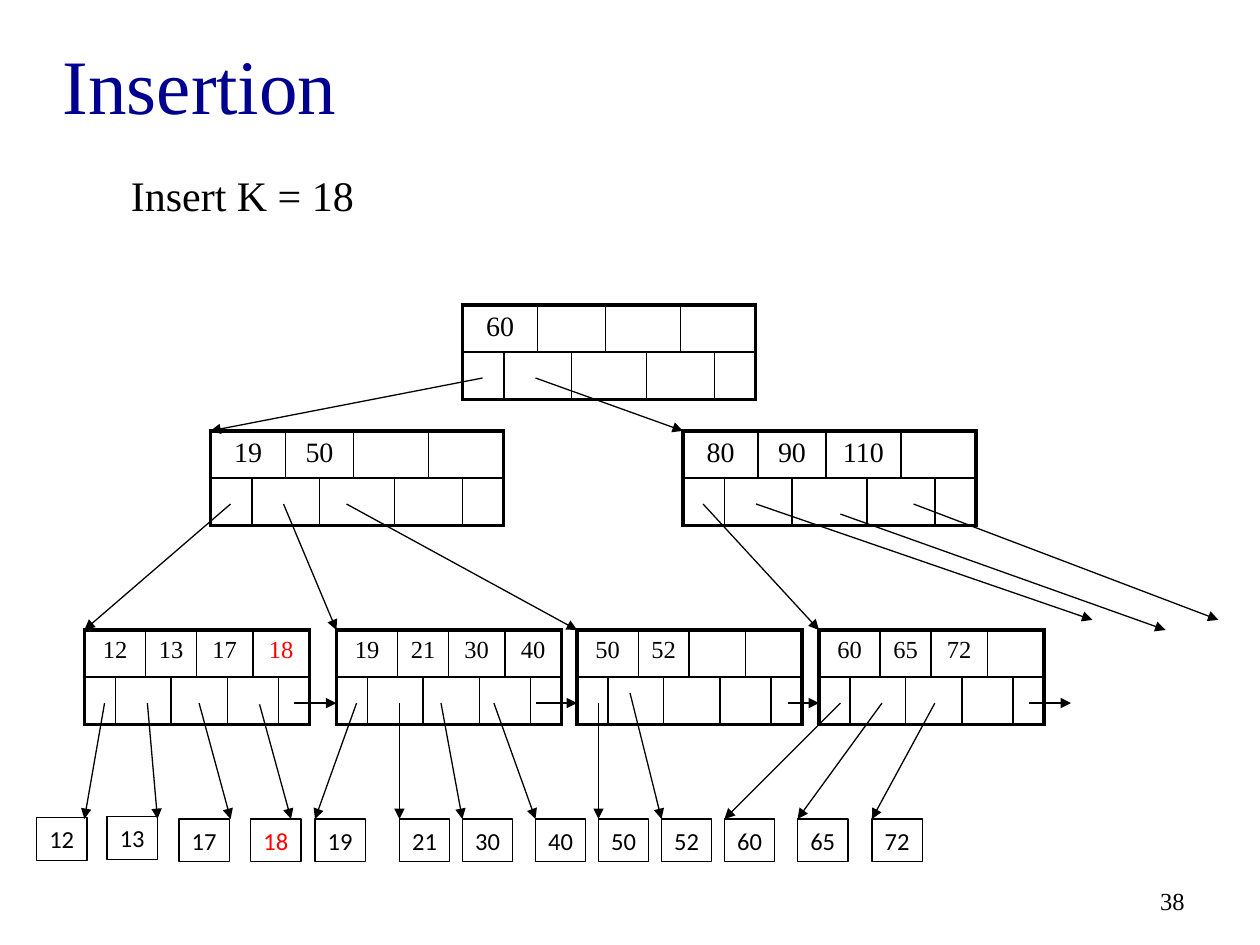
from lxml.etree import SubElement
from pptx import Presentation
from pptx.dml.color import RGBColor
from pptx.enum.shapes import MSO_CONNECTOR, MSO_SHAPE
from pptx.enum.text import MSO_ANCHOR, MSO_AUTO_SIZE, PP_ALIGN
from pptx.oxml import parse_xml
from pptx.oxml.ns import nsdecls, qn
from pptx.util import Inches, Pt

BLACK = RGBColor(0, 0, 0)
NAVY = RGBColor(0, 0, 0x90)
RED = RGBColor(0xFF, 0, 0)
SERIF = "Times New Roman"
SANS = "Calibri"
NEW_KEY = "18"
THIN, THICK = 1, 2.25

SHARES = [0.33, 0.27, 0.27, 0.27, 0.33, 0.27, 0.27, 0.33]
KEY_SPANS = [(0, 1), (2, 3), (4, 5), (6, 7)]
LINK_SPANS = [(0, 0), (1, 2), (3, 4), (5, 6), (7, 7)]
ROW = 0.375

# left, top, width, text size, keys
NODES = [
    (3.67, 2.42, 2.33, 16, ["60"]),
    (1.67, 3.42, 2.33, 16, ["19", "50"]),
    (5.42, 3.42, 2.33, 16, ["80", "90", "110"]),
    (0.67, 5, 1.75, 14, ["12", "13", "17", "18"]),
    (2.67, 5, 1.75, 14, ["19", "21", "30", "40"]),
    (4.58, 5, 1.75, 14, ["50", "52"]),
    (6.5, 5, 1.75, 14, ["60", "65", "72"]),
]

TREE_LINKS = [
    (3.83, 3, 1.67, 3.42), (4.25, 3, 5.42, 3.42),
    (1.83, 4, 0.67, 5), (2.25, 4, 2.67, 5), (2.75, 4, 4.58, 5),
    (5.58, 4, 6.5, 5), (6, 4, 8.67, 4.92), (6.67, 4.08, 9.25, 5),
    (7.25, 4, 9.67, 4.92),
]
LEAF_Y, BOX_Y = 5.58, 6.5
LEAF_LINKS = [(2.33, 2.67), (4.25, 4.58), (6.25, 6.5), (8.17, 8.5)]

# key, box left, box top, arrow start x, start y, arrow end x
RECORDS = [
    ("12", 0.29, 6.49, 0.83, LEAF_Y, 0.67),
    ("13", 0.85, 6.48, 1.17, LEAF_Y, 1.25),
    ("17", 1.42, BOX_Y, 1.58, LEAF_Y, 1.83),
    ("18", 1.99, BOX_Y, 2.06, 5.59, 2.31),
    ("19", 2.5, BOX_Y, 2.83, LEAF_Y, 2.5),
    ("21", 3.17, BOX_Y, 3.17, LEAF_Y, 3.17),
    ("30", 3.67, BOX_Y, 3.5, LEAF_Y, 3.67),
    ("40", 4.25, BOX_Y, 3.92, LEAF_Y, 4.25),
    ("50", 4.75, BOX_Y, 4.75, LEAF_Y, 4.75),
    ("52", 5.25, BOX_Y, 5, 5.5, 5.25),
    ("60", 5.75, BOX_Y, 6.67, LEAF_Y, 5.75),
    ("65", 6.33, BOX_Y, 7, LEAF_Y, 6.33),
    ("72", 6.92, BOX_Y, 7.42, LEAF_Y, 6.92),
]


def write(frame, text, size, font=SERIF, color=BLACK, align=PP_ALIGN.LEFT):
    para = frame.paragraphs[0]
    para.text = text
    para.alignment = align
    for run in para.runs:
        run.font.size = Pt(size)
        run.font.name = font
        run.font.color.rgb = color


def key_color(key):
    return RED if key == NEW_KEY else BLACK


def add_label(slide, box, text, size, color=BLACK, align=PP_ALIGN.LEFT,
              anchor=MSO_ANCHOR.MIDDLE, wrap=True):
    frame = slide.shapes.add_textbox(*map(Inches, box)).text_frame
    frame.word_wrap = wrap
    frame.vertical_anchor = anchor
    write(frame, text, size, color=color, align=align)


def set_edges(cell, edges):
    """Draw the cell's borders; edges lists (tag, points) in schema order."""
    props = cell._tc.get_or_add_tcPr()
    for place, (tag, width) in enumerate(edges):
        props.insert(place, parse_xml(
            f'<a:{tag} {nsdecls("a")} w="{Pt(width)}"><a:solidFill>'
            f'<a:srgbClr val="{BLACK}"/></a:solidFill></a:{tag}>'))


def add_span(table, row, first, last, key, size):
    """Join the cells first to last of a row and fill in the key."""
    cell = table.cell(row, first)
    if last > first:
        cell.merge(table.cell(row, last))
    left = THICK if first == 0 else THIN
    right = THICK if last == len(SHARES) - 1 else THIN
    top, bottom = (THICK, THIN) if row == 0 else (THIN, THICK)
    for col in range(first, last + 1):
        part = table.cell(row, col)
        part.fill.background()
        edges = [("lnR", right), ("lnT", top), ("lnB", bottom)]
        if col == first:
            edges.insert(0, ("lnL", left))
        set_edges(part, edges)
        if not key:
            part.margin_top = part.margin_bottom = 0
    if key:
        write(cell.text_frame, key, size, color=key_color(key),
              align=PP_ALIGN.CENTER)


def add_node(slide, left, top, width, size, keys):
    frame = slide.shapes.add_table(
        2, len(SHARES), Inches(left), Inches(top), Inches(width),
        Inches(2 * ROW))
    table = frame.table
    table.first_row = table.horz_banding = False
    for col, share in zip(table.columns, SHARES):
        col.width = Inches(width * share / sum(SHARES))
    for row in table.rows:
        row.height = Inches(ROW)
    for slot, span in enumerate(KEY_SPANS):
        key = keys[slot] if slot < len(keys) else ""
        add_span(table, 0, *span, key, size)
    for span in LINK_SPANS:
        add_span(table, 1, *span, "", size)


def add_arrow(slide, *ends):
    line = slide.shapes.add_connector(
        MSO_CONNECTOR.STRAIGHT, *map(Inches, ends))
    line.line.color.rgb = BLACK
    line.line.width = Pt(0.75)
    SubElement(line.line._get_or_add_ln(), qn("a:tailEnd"), type="triangle")
    SubElement(line._element.spPr, qn("a:effectLst"))


def add_record(slide, key, left, top):
    box = slide.shapes.add_shape(
        MSO_SHAPE.RECTANGLE, *map(Inches, (left, top, 0.4, 0.34)))
    box.shadow.inherit = False
    box.fill.background()
    box.line.color.rgb = BLACK
    box.line.width = Pt(0.75)
    frame = box.text_frame
    frame.word_wrap = False
    frame.auto_size = MSO_AUTO_SIZE.SHAPE_TO_FIT_TEXT
    frame.vertical_anchor = MSO_ANCHOR.MIDDLE
    write(frame, key, 14, SANS, key_color(key), PP_ALIGN.CENTER)


def main():
    deck = Presentation()
    deck.slide_width, deck.slide_height = Inches(10), Inches(7.5)
    slide = deck.slides.add_slide(deck.slide_layouts[6])
    add_label(slide, (7.17, 6.95, 2.33, 0.4), "38", 14, align=PP_ALIGN.RIGHT)
    add_label(slide, (0.4, 0.11, 9, 1.11), "Insertion", 44, NAVY)
    add_label(slide, (0.94, 1.3, 1.99, 0.5), "Insert K = 18", 24,
              anchor=MSO_ANCHOR.TOP, wrap=False)
    for node in NODES:
        add_node(slide, *node)
    for link in TREE_LINKS:
        add_arrow(slide, *link)
    for start, end in LEAF_LINKS:
        add_arrow(slide, start, LEAF_Y, end, LEAF_Y)
    for key, left, top, start, high, end in RECORDS:
        add_record(slide, key, left, top)
        add_arrow(slide, start, high, end, BOX_Y)
    deck.save("out.pptx")


if __name__ == "__main__":
    main()
